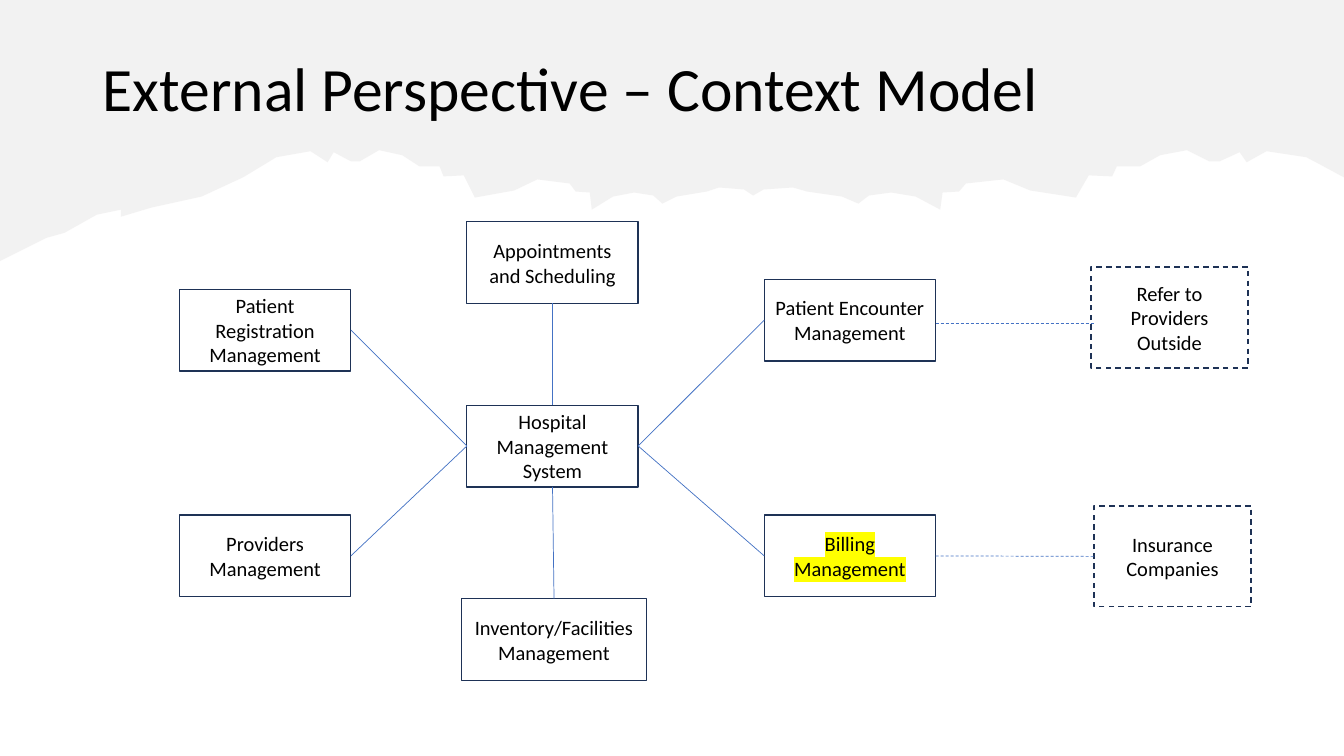
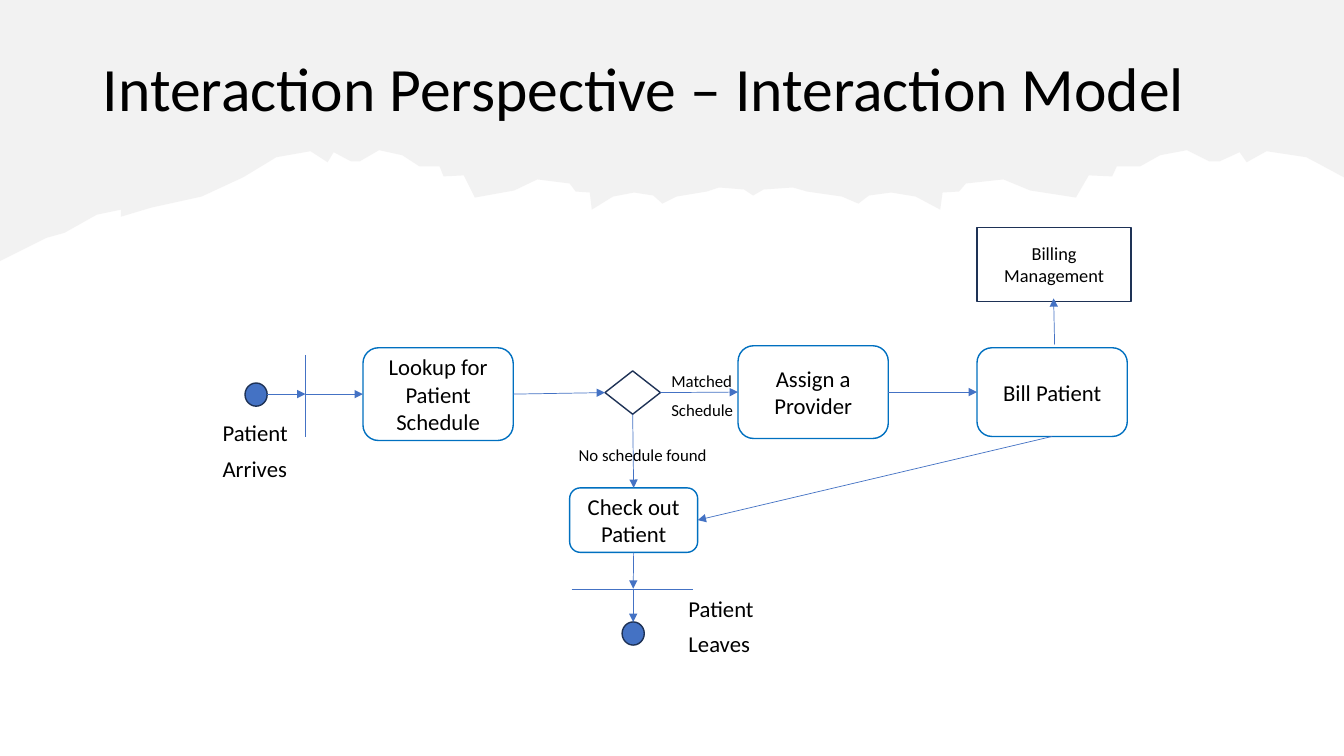
from dataclasses import dataclass

from pptx import Presentation
from pptx import util as u
from pptx.dml.color import RGBColor
from pptx.enum import dml, shapes, text
from pptx.oxml import parse_xml
from pptx.oxml.ns import nsdecls, qn

PX = 9144  # EMU per px, 100 px to the inch
WIDTH, HEIGHT = 1333, 750
FONT = "Calibri"
BLACK, NAVY, BLUE, PROCESS_BLUE = "000000", "1E3256", "4472C4", "0070C0"
BAND_GRAY, YELLOW = "E7E6E6", "FFFF00"
TOP, LEFT, BOTTOM, RIGHT = range(4)

RECT = shapes.MSO_SHAPE.RECTANGLE
PROCESS = shapes.MSO_SHAPE.FLOWCHART_ALTERNATE_PROCESS
DECISION = shapes.MSO_SHAPE.FLOWCHART_DECISION
DOT = shapes.MSO_SHAPE.FLOWCHART_CONNECTOR

# The torn edge rises along the slope, then its crest is mirrored and stretched.
SLOPE = [(0, 259), (46, 236), (64, 231), (96, 213), (120, 208), (120, 215), (150, 206),
         (200, 195)]
CREST = [(241, 176), (261, 164), (274, 156), (308, 150), (325, 161), (331, 151),
         (348, 160), (357, 160), (376, 149), (399, 154), (416, 165), (436, 165),
         (440, 175), (460, 174), (471, 196), (510, 189), (533, 178), (565, 182),
         (571, 190), (585, 191), (587, 208), (608, 195), (629, 191), (648, 194),
         (657, 202), (671, 195), (701, 190), (713, 186), (738, 188)]
CREST_AXIS, STRETCH = 747, 1.16


@dataclass
class Node:
    """A box of a diagram; links refer to it by its key."""
    key: str
    label: str
    left: int
    top: int
    width: int = 170
    height: int = 81
    kind: shapes.MSO_SHAPE = RECT
    size: float = 14.6
    line: str = NAVY
    fill: str | None = None
    dashed: bool = False
    highlight: str | None = None
    space_after: float = 6


@dataclass
class Link:
    """A line; each end is (node key, side) or a point (x, y)."""
    start: tuple
    end: tuple
    dashed: bool = False
    arrow: bool = False


@dataclass
class Label:
    text: str
    left: int
    top: int
    width: int
    height: int
    size: float


@dataclass
class Diagram:
    title: str
    nodes: list[Node]
    links: list[Link]
    labels: list[Label]


def process(key: str, label: str, left: int, top: int,
            width: int = 149, height: int = 92) -> Node:
    return Node(key, label, left, top, width, height, PROCESS, 16.2, PROCESS_BLUE)


def dot(key: str, left: int, top: int) -> Node:
    return Node(key, "", left, top, 22, 23, DOT, fill=BLUE)


def outside_party(key: str, label: str, left: int, top: int) -> Node:
    return Node(key, label, left, top, 156, 100, dashed=True)


def arrow(start: tuple, end: tuple) -> Link:
    return Link(start, end, arrow=True)


CONTEXT_MODEL = Diagram(
    "External Perspective – Context Model",
    [
        Node("system", "Hospital Management System", 463, 402),
        Node("appointments", "Appointments and Scheduling", 463, 220),
        Node("inventory", "Inventory/Facilities Management", 458, 594, 183),
        Node("registration", "Patient Registration Management", 178, 287),
        Node("providers", "Providers Management", 178, 511),
        Node("encounter", "Patient Encounter Management", 758, 277),
        Node("billing", "Billing Management", 758, 511, highlight=YELLOW),
        outside_party("insurance", "Insurance Companies", 1085, 502),
        outside_party("referral", "Refer to Providers Outside", 1082, 265),
    ],
    [
        Link(("system", TOP), ("appointments", BOTTOM)),
        Link(("system", LEFT), ("registration", RIGHT)),
        Link(("system", LEFT), ("providers", RIGHT)),
        Link(("system", BOTTOM), ("inventory", TOP)),
        Link(("system", RIGHT), ("encounter", LEFT)),
        Link(("system", RIGHT), ("billing", LEFT)),
        Link(("billing", RIGHT), ("insurance", LEFT), dashed=True),
        Link((928, 321), (1085, 321), dashed=True),
    ],
    [],
)

INTERACTION_MODEL = Diagram(
    "Interaction Perspective – Interaction Model",
    [
        dot("arrival", 243, 380),
        process("lookup", "Lookup for Patient Schedule", 360, 345),
        Node("match", "", 600, 368, 55, 43, DECISION),
        process("assign", "Assign a Provider", 732, 343),
        process("bill", "Bill Patient", 969, 345, height=88),
        Node("billing", "Billing Management", 969, 226, 153, 73, size=13.1,
             space_after=5.4),
        process("checkout", "Check out Patient", 565, 484, 127, 64),
        dot("departure", 617, 617),
    ],
    [
        Link((303, 352), (303, 434)),
        arrow((265, 391), (303, 391)),
        arrow((303, 391), ("lookup", LEFT)),
        arrow(("lookup", RIGHT), ("match", LEFT)),
        arrow(("match", RIGHT), ("assign", LEFT)),
        arrow(("assign", RIGHT), ("bill", LEFT)),
        arrow((1046, 342), (1045, 296)),
        arrow(("bill", BOTTOM), ("checkout", RIGHT)),
        arrow(("match", BOTTOM), ("checkout", TOP)),
        arrow(("checkout", BOTTOM), (628, 584)),
        Link((567, 585), (687, 585)),
        arrow((628, 585), (628, 617)),
    ],
    [
        Label("Patient\nArrives", 211, 411, 90, 73, 16.2),
        Label("Patient\nLeaves", 673, 585, 90, 73, 16.2),
        Label("No schedule found", 564, 436, 149, 30, 12),
        Label("Matched\nSchedule", 656, 363, 107, 59, 12),
    ],
)


def px(*lengths: float) -> list[int]:
    return [round(length * PX) for length in lengths]


def color(value: str) -> RGBColor:
    return RGBColor.from_string(value)


def write(frame, content: str, *, size: float, align=text.PP_ALIGN.LEFT,
          anchor=text.MSO_ANCHOR.TOP, space_after: float = 6,
          line_spacing: float | None = None, highlight: str | None = None) -> None:
    """Fill a text frame, one paragraph for each line of content."""
    frame.word_wrap = True
    frame.auto_size = text.MSO_AUTO_SIZE.NONE
    frame.vertical_anchor = anchor
    frame.text = content
    for paragraph in frame.paragraphs:
        paragraph.alignment = align
        paragraph.space_before = u.Pt(0)
        paragraph.space_after = u.Pt(space_after)
        paragraph.line_spacing = line_spacing
        for run in paragraph.runs:
            run.font.size = u.Pt(size)
            run.font.name = FONT
            run.font.color.rgb = color(BLACK)
            if highlight:
                run._r.get_or_add_rPr().find(qn("a:solidFill")).addnext(parse_xml(
                    f'<a:highlight {nsdecls("a")}><a:srgbClr val="{highlight}"/>'
                    '</a:highlight>'))


def style_line(line, value: str, width: float, dashed: bool) -> None:
    line.color.rgb = color(value)
    line.width = u.Pt(width)
    if dashed:
        line.dash_style = dml.MSO_LINE.DASH


def add_band(slide) -> None:
    mirrored = [(CREST_AXIS + (CREST_AXIS - x) * STRETCH, y) for x, y in reversed(CREST)]
    edge = SLOPE + CREST + [(CREST_AXIS, 194)] + mirrored
    corners = [(WIDTH, 0), (0, 0)]
    points = [px(min(x, WIDTH), y) for x, y in edge + corners]
    builder = slide.shapes.build_freeform(*points[0])
    builder.add_line_segments(points[1:], close=True)
    band = builder.convert_to_shape()
    band.shadow.inherit = False
    band.line.fill.background()
    band.fill.solid()
    band.fill.fore_color.rgb = color(BAND_GRAY)
    band.element.spPr.find(".//" + qn("a:srgbClr")).append(
        parse_xml(f'<a:alpha {nsdecls("a")} val="50000"/>'))
    slide.shapes.title.element.addprevious(band.element)


def add_title(slide, content: str) -> None:
    title = slide.shapes.title
    title.left, title.top, title.width, title.height = px(92, 40, 1150, 102)
    write(title.text_frame, content, size=44, anchor=text.MSO_ANCHOR.MIDDLE,
          space_after=0, line_spacing=0.9)


def add_node(slide, node: Node):
    shape = slide.shapes.add_shape(
        node.kind, *px(node.left, node.top, node.width, node.height))
    shape.shadow.inherit = False
    if node.fill:
        shape.fill.solid()
        shape.fill.fore_color.rgb = color(node.fill)
    else:
        shape.fill.background()
    style_line(shape.line, node.line, 1, node.dashed)
    if node.label:
        write(shape.text_frame, node.label, size=node.size, align=text.PP_ALIGN.CENTER,
              anchor=text.MSO_ANCHOR.MIDDLE, space_after=node.space_after,
              highlight=node.highlight)
    return shape


def add_link(slide, link: Link, drawn: dict) -> None:
    """Draw a line and join the ends that name a node."""
    ends = [(0, 0) if end[0] in drawn else px(*end) for end in (link.start, link.end)]
    connector = slide.shapes.add_connector(
        shapes.MSO_CONNECTOR.STRAIGHT, *ends[0], *ends[1])
    for end, connect in ((link.start, connector.begin_connect),
                         (link.end, connector.end_connect)):
        if end[0] in drawn:
            connect(drawn[end[0]], end[1])
    style_line(connector.line, BLUE, 0.5, link.dashed)
    properties = connector.element.spPr
    if link.arrow:
        properties.find(qn("a:ln")).append(
            parse_xml(f'<a:tailEnd {nsdecls("a")} type="triangle"/>'))
    properties.append(parse_xml(f'<a:effectLst {nsdecls("a")}/>'))


def add_diagram(presentation, diagram: Diagram) -> None:
    slide = presentation.slides.add_slide(presentation.slide_layouts[5])
    add_band(slide)
    add_title(slide, diagram.title)
    drawn = {node.key: add_node(slide, node) for node in diagram.nodes}
    for link in diagram.links:
        add_link(slide, link, drawn)
    for label in diagram.labels:
        box = slide.shapes.add_textbox(
            *px(label.left, label.top, label.width, label.height))
        write(box.text_frame, label.text, size=label.size)


def main() -> None:
    presentation = Presentation()
    presentation.slide_width, presentation.slide_height = px(WIDTH, HEIGHT)
    for diagram in (CONTEXT_MODEL, INTERACTION_MODEL):
        add_diagram(presentation, diagram)
    presentation.save("out.pptx")


if __name__ == "__main__":
    main()
